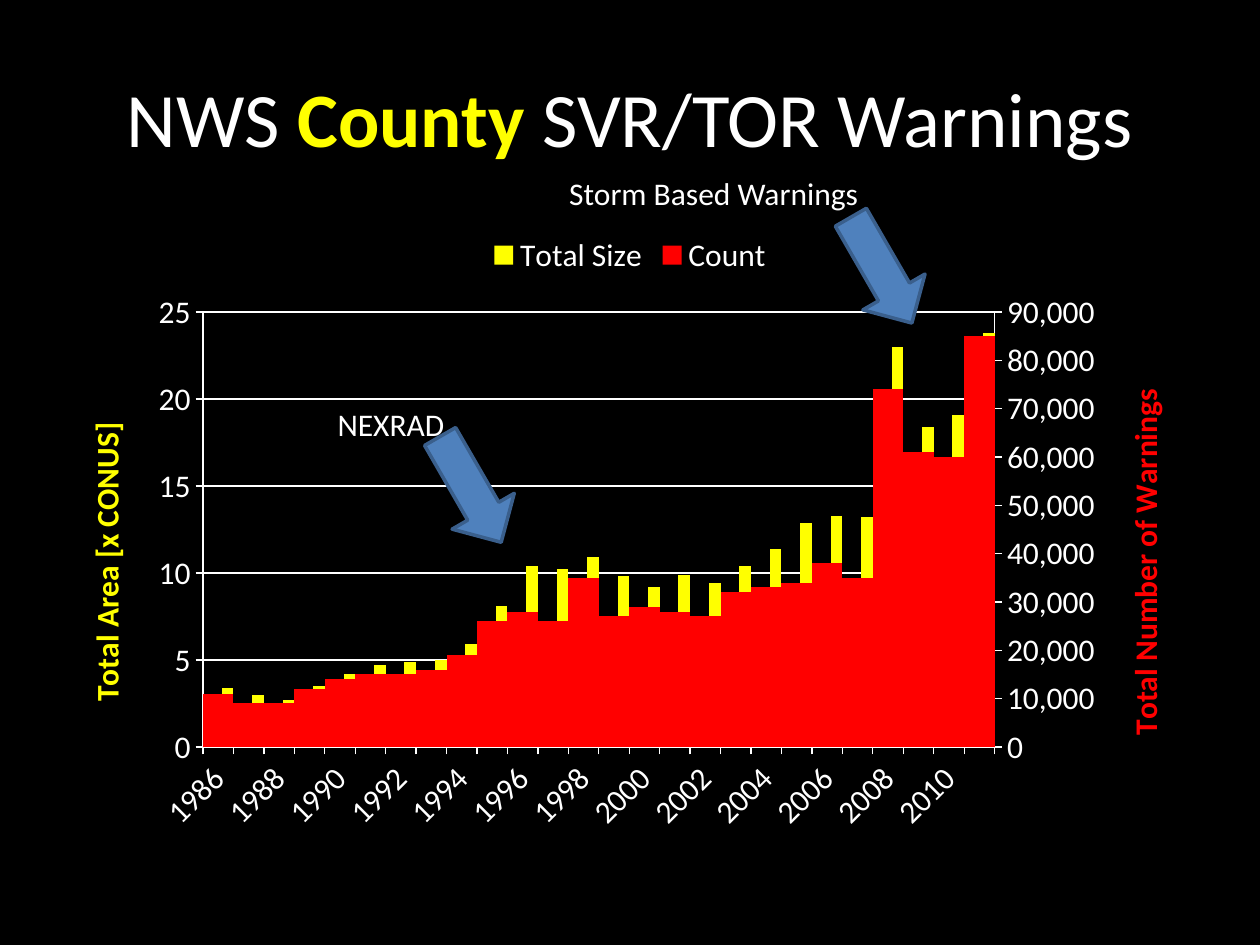
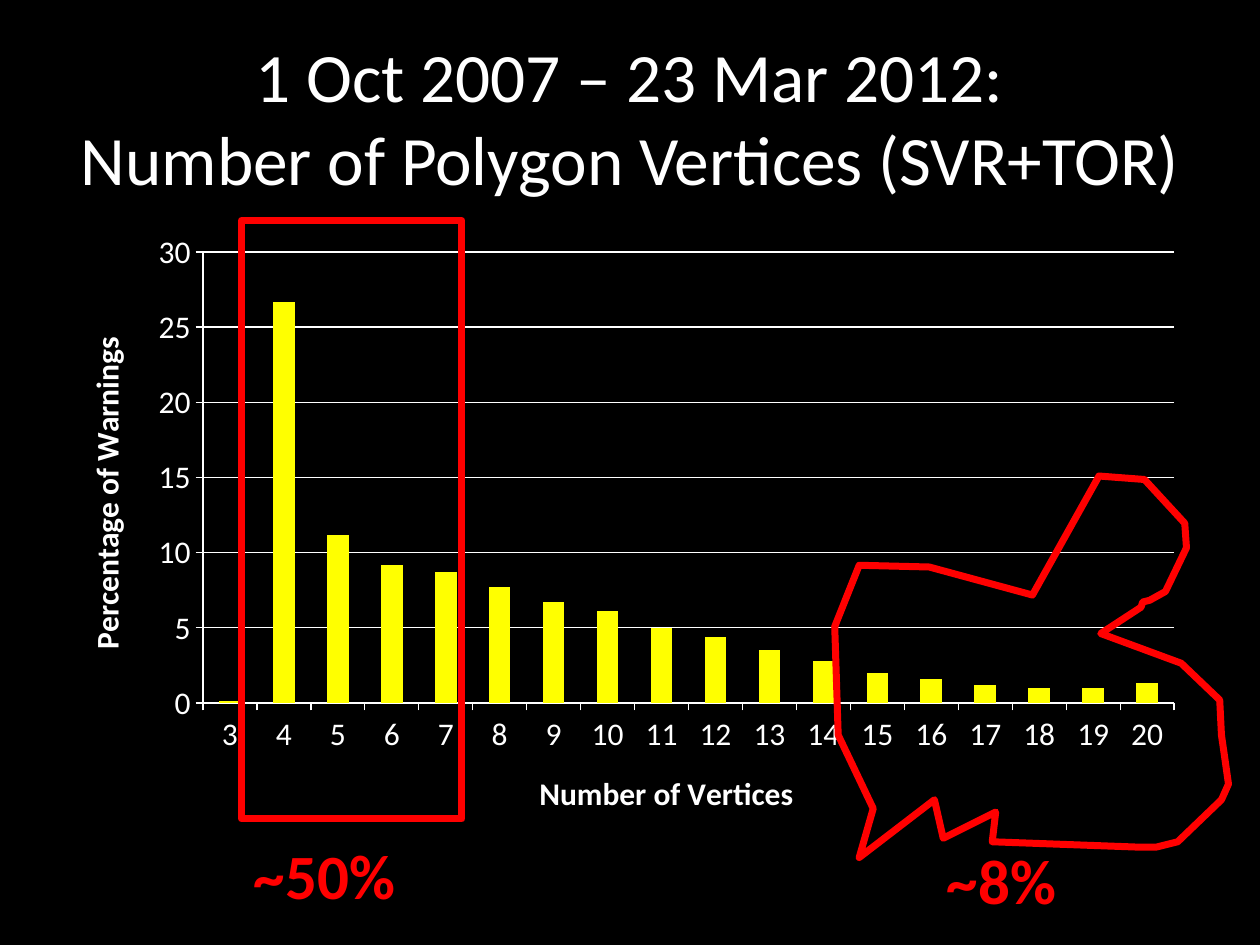
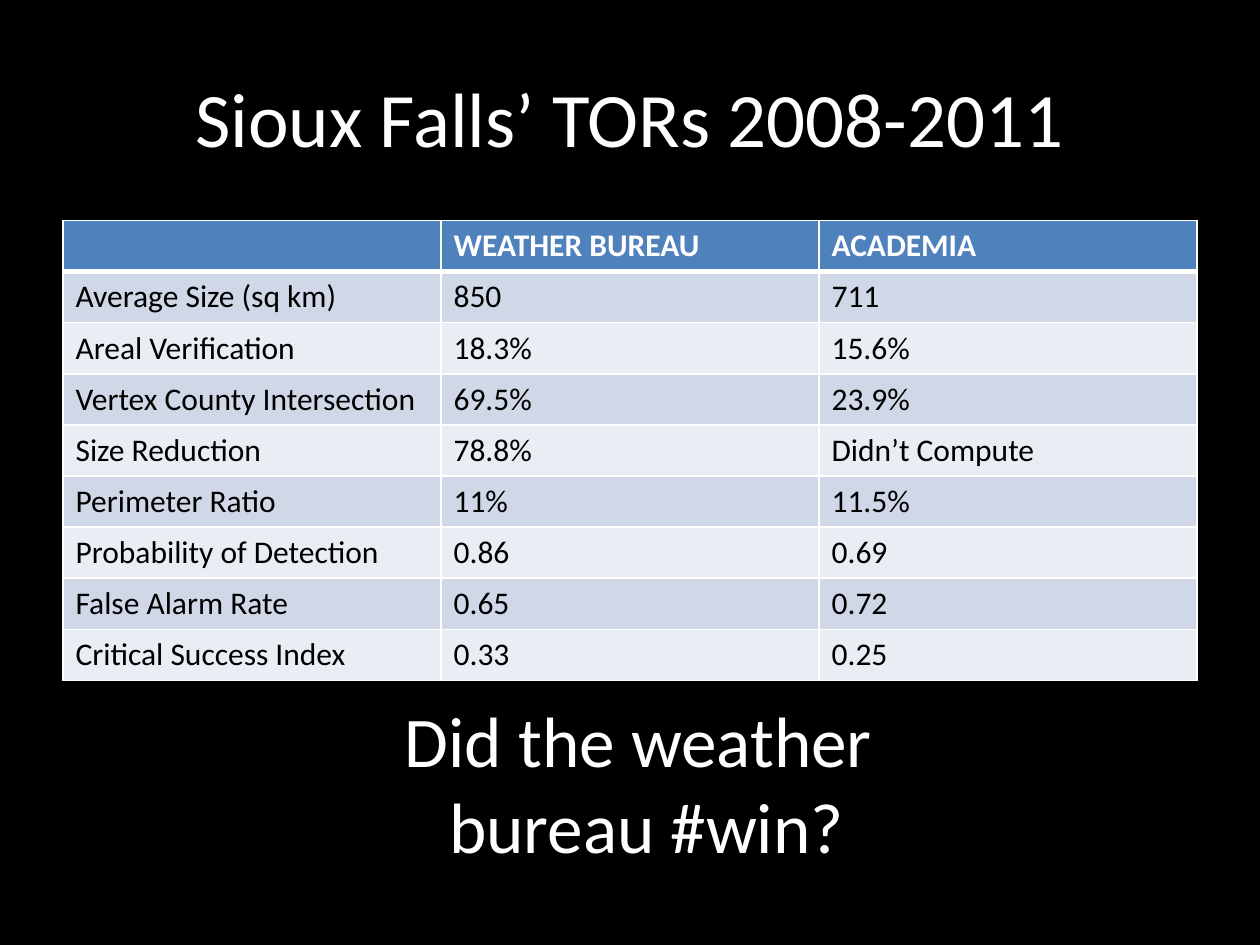
from copy import deepcopy

from lxml import etree
from pptx import Presentation
from pptx.chart.axis import ValueAxis
from pptx.chart.data import CategoryChartData
from pptx.dml.color import RGBColor
from pptx.enum import chart as ch, shapes, text
from pptx.oxml import ns, parse_xml
from pptx.util import Pt

BLACK = RGBColor(0, 0, 0)
WHITE = RGBColor(255, 255, 255)
YELLOW = RGBColor(255, 255, 0)
RED = RGBColor(255, 0, 0)
BLUE = RGBColor(0x4F, 0x81, 0xBD)
DARK_BLUE = RGBColor(0x3A, 0x5F, 0x8C)
BAND_DARK = RGBColor(0xD0, 0xD8, 0xE8)
BAND_LIGHT = RGBColor(0xE9, 0xED, 0xF4)
FONT = "Calibri"
LEFT, WIDTH, BODY_TOP, CHART_HEIGHT = 36, 648, 126, 356.4


def add_text(s, box, paragraphs, size, color=WHITE, bold=False, title=False, wrap=True):
    tf = s.shapes.add_textbox(*map(Pt, box)).text_frame
    tf.word_wrap = wrap
    if title:
        tf.vertical_anchor = text.MSO_ANCHOR.MIDDLE
    for i, runs in enumerate(paragraphs):
        p = tf.paragraphs[0] if i == 0 else tf.add_paragraph()
        if title:
            p.alignment = text.PP_ALIGN.CENTER
        for words, own in runs:
            if words == "\n":
                p.add_line_break()
                continue
            r = p.add_run()
            r.text = words
            look = {"name": FONT, "size": Pt(size), "bold": bold, **own}
            for key, value in look.items():
                setattr(r.font, key, value)
            r.font.color.rgb = YELLOW if own else color


def style_axis(axis, title, color, top, step):
    axis.major_tick_mark = ch.XL_TICK_MARK.OUTSIDE
    axis.minor_tick_mark = ch.XL_TICK_MARK.NONE
    axis.format.line.color.rgb = WHITE
    axis.format.line.width = Pt(0.75)
    axis.tick_labels.font.size = Pt(18)
    if top:
        axis.minimum_scale, axis.maximum_scale, axis.major_unit = 0, top, step
        axis.has_major_gridlines = True
        axis.major_gridlines.format.line.color.rgb = WHITE
        axis.major_gridlines.format.line.width = Pt(0.75)
    if title:
        tf = axis.axis_title.text_frame
        tf.text = title
        font = tf.paragraphs[0].runs[0].font
        for key, value in {"name": FONT, "size": Pt(18), "bold": True}.items():
            setattr(font, key, value)
        font.color.rgb = color
        if top:
            tf._txBody.bodyPr.set("rot", "-5400000")
            tf._txBody.bodyPr.set("vert", "horz")


prs = Presentation()
prs.slide_width, prs.slide_height = Pt(720), Pt(540)
slides = []
for _ in range(3):
    s = prs.slides.add_slide(prs.slide_layouts[6])
    s.background.fill.solid()
    s.background.fill.fore_color.rgb = BLACK
    slides.append(s)
counties, vertices, scores = slides

titles = [
    (counties, LEFT, 44, [("NWS ", {}), ("County", {"bold": True}), (" SVR/TOR Warnings", {})]),
    (vertices, 18, 39.6, [("1 Oct 2007 – 23 Mar 2012:", {}), ("\n", {}),
                          ("Number of Polygon Vertices (SVR+TOR)", {})]),
    (scores, LEFT, 44, [("Sioux Falls’ TORs 2008-2011", {})]),
]
for s, left, size, runs in titles:
    add_text(s, (left, 21.6, 720 - 2 * left, 90), [runs], size, title=True)

areas = [3.4, 3, 2.7, 3.5, 4.2, 4.7, 4.9, 5, 5.9, 8.1, 10.4, 10.2, 10.9,
         9.8, 9.2, 9.9, 9.4, 10.4, 11.4, 12.9, 13.3, 13.2, 23, 18.4, 19.1, 23.8]
counts = [11000, 9000, 9000, 12000, 14000, 15000, 15000, 16000, 19000,
          26000, 28000, 26000, 35000, 27000, 29000, 28000, 27000, 32000,
          33000, 34000, 38000, 35000, 74000, 61000, 60000, 85000]
shares = [0.1, 26.7, 11.2, 9.2, 8.7, 7.7, 6.7, 6.1, 5, 4.4, 3.5, 2.8, 2, 1.6, 1.2, 1, 1, 1.3]
charts = []
for s, cats, series, gap, overlap, cat_title, val_title, val_color, top, plot_box in [
    (counties, range(1986, 2012),
     [("Total Size", [1] + [None] * 25, YELLOW), ("Series 2", areas, YELLOW), ("Count", counts, RED)],
     0, -62, None, "Total Area [x CONUS]", YELLOW, 25, (116, 178.3, 452.4, 248.6)),
    (vertices, range(3, 21), [("Series 1", shares, YELLOW)],
     150, 0, "Number of Vertices", "Percentage of Warnings", WHITE, 30, (116, 144, 555, 257.8)),
]:
    data = CategoryChartData()
    data.categories = [str(c) for c in cats]
    for name, values, _ in series:
        data.add_series(name, values)
    chart = s.shapes.add_chart(ch.XL_CHART_TYPE.COLUMN_CLUSTERED, Pt(LEFT), Pt(BODY_TOP),
                               Pt(WIDTH), Pt(CHART_HEIGHT), data).chart
    chart.has_title = False
    chart.has_legend = False
    chart.font.name, chart.font.size = FONT, Pt(18)
    chart.font.color.rgb = WHITE
    plot = chart.plots[0]
    plot.gap_width, plot.overlap, plot.vary_by_categories = gap, overlap, False
    for ser, (_, _, color) in zip(plot.series, series):
        ser.format.fill.solid()
        ser.format.fill.fore_color.rgb = color
    style_axis(chart.category_axis, cat_title, WHITE, None, None)
    style_axis(chart.value_axis, val_title, val_color, top, 5)
    area = chart._chartSpace.chart.plotArea
    for old in area.findall(ns.qn("c:layout")):
        area.remove(old)
    x, y, w, h = plot_box
    layout = ((x - LEFT) / WIDTH, (y - BODY_TOP) / CHART_HEIGHT, w / WIDTH, h / CHART_HEIGHT)
    places = "".join(f'<c:{k} val="{v}"/>' for k, v in zip("xywh", layout))
    area.insert(0, parse_xml(
        f'<c:layout {ns.nsdecls("c")}><c:manualLayout><c:layoutTarget val="inner"/>'
        f'<c:xMode val="edge"/><c:yMode val="edge"/>{places}</c:manualLayout></c:layout>'))
    charts.append(chart)

chart = charts[0]
chart.has_legend = True
legend = chart.legend
legend.position = ch.XL_LEGEND_POSITION.TOP
legend.include_in_layout = False
legend.font.size = Pt(18)
legend.font.color.rgb = WHITE
legend._element.find(ns.qn("c:legendPos")).addnext(parse_xml(
    f'<c:legendEntry {ns.nsdecls("c")}><c:idx val="1"/><c:delete val="1"/></c:legendEntry>'))
chart.category_axis._element.find(ns.qn("c:txPr")).find(ns.qn("a:bodyPr")).set("rot", "-2700000")

area = chart._chartSpace.chart.plotArea
bars, cat_ax, val_ax = [area.find(ns.qn(t)) for t in ("c:barChart", "c:catAx", "c:valAx")]
bars2, cat_ax2, val_ax2 = deepcopy(bars), deepcopy(cat_ax), deepcopy(val_ax)
bars.remove(bars.findall(ns.qn("c:ser"))[2])
for ser in bars2.findall(ns.qn("c:ser"))[:2]:
    bars2.remove(ser)
bars.addnext(bars2)
val_ax.addnext(val_ax2)
val_ax2.addnext(cat_ax2)
for el, ids in [(bars2, ("5001", "5002")), (cat_ax2, ("5001",)), (val_ax2, ("5002",))]:
    for ax_id, value in zip(el.findall(ns.qn("c:axId")), ids):
        ax_id.set("val", value)
for el, tag, value in [(cat_ax2, "c:crossAx", "5002"), (cat_ax2, "c:delete", "1"),
                       (val_ax2, "c:crossAx", "5001"), (val_ax2, "c:axPos", "r"),
                       (val_ax2, "c:crosses", "max")]:
    el.find(ns.qn(tag)).set("val", value)
right_axis = ValueAxis(val_ax2)
style_axis(right_axis, "Total Number of Warnings", RED, 90000, 10000)
right_axis.has_major_gridlines = False
right_axis.tick_labels.number_format = "#,##0"
right_axis.tick_labels.number_format_is_linked = False

for label, box, arrow in [
    ("NEXRAD", (185.8, 228.2, 76.3, 28.8), (234, 259.2)),
    ("Storm Based Warnings", (318.2, 95.8, 181.4, 28.8), (468.7, 133.9)),
]:
    sp = counties.shapes.add_shape(shapes.MSO_SHAPE.RIGHT_ARROW, *map(Pt, arrow), Pt(69.8), Pt(41))
    sp.rotation = 60
    sp.shadow.inherit = False
    sp.fill.solid()
    sp.fill.fore_color.rgb = BLUE
    sp.line.color.rgb, sp.line.width = DARK_BLUE, Pt(2)
    add_text(counties, box, [[(label, {})]], 18, wrap=False)

frame = vertices.shapes.add_shape(shapes.MSO_SHAPE.RECTANGLE, Pt(138), Pt(126), Pt(126), Pt(342))
outline = [
    (499, 462), (479, 420), (477, 358), (491, 323), (531, 324), (590, 340), (628, 272),
    (654, 274), (677, 299), (678, 313), (666, 338), (657, 343), (653, 344), (652, 347),
    (629, 362), (675, 379), (697, 400), (698, 420), (702, 448), (698, 457), (673, 481),
    (661, 484), (649, 484), (567, 481), (569, 464), (539, 479), (534, 457), (491, 490),
]
builder = vertices.shapes.build_freeform(*outline[0], scale=Pt(1))
builder.add_line_segments(outline[1:], close=True)
for sp in (frame, builder.convert_to_shape()):
    sp.shadow.inherit = False
    sp.fill.background()
    sp.line.color.rgb, sp.line.width = RED, Pt(4)
for label, left, top in [("~50%", 138, 474.5), ("~8%", 534, 477.4)]:
    add_text(vertices, (left, top, 113.8, 51.1), [[(label, {})]], 36, RED, True)

rows = [
    ("", "WEATHER BUREAU", "ACADEMIA"),
    ("Average Size (sq km)", "850", "711"),
    ("Areal Verification", "18.3%", "15.6%"),
    ("Vertex County Intersection", "69.5%", "23.9%"),
    ("Size Reduction", "78.8%", "Didn’t Compute"),
    ("Perimeter Ratio", "11%", "11.5%"),
    ("Probability of Detection", "0.86", "0.69"),
    ("False Alarm Rate", "0.65", "0.72"),
    ("Critical Success Index", "0.33", "0.25"),
]
table = scores.shapes.add_table(len(rows), 3, Pt(LEFT), Pt(BODY_TOP), Pt(WIDTH), Pt(29.2 * len(rows))).table
for i, row in enumerate(rows):
    table.rows[i].height = Pt(29.2)
    for j, words in enumerate(row):
        cell = table.cell(i, j)
        tc_pr = cell._tc.get_or_add_tcPr()
        for side in "LRTB":
            thick = (i == 0 and side == "B") or (i == 1 and side == "T")
            ln = etree.SubElement(tc_pr, ns.qn(f"a:ln{side}"), w=str(Pt(3 if thick else 1)))
            fill = etree.SubElement(ln, ns.qn("a:solidFill"))
            etree.SubElement(fill, ns.qn("a:srgbClr"), val=str(WHITE))
        cell.fill.solid()
        cell.fill.fore_color.rgb = BLUE if i == 0 else BAND_DARK if i % 2 else BAND_LIGHT
        p = cell.text_frame.paragraphs[0]
        p.text = words
        for key, value in {"name": FONT, "size": Pt(18), "bold": i == 0}.items():
            setattr(p.font, key, value)
        p.font.color.rgb = BLACK if i else WHITE

add_text(scores, (45.4, 401.8, WIDTH, 90),
         [[("Did the weather ", {})], [("bureau #win?", {})]], 40.7, title=True)

prs.save("out.pptx")
